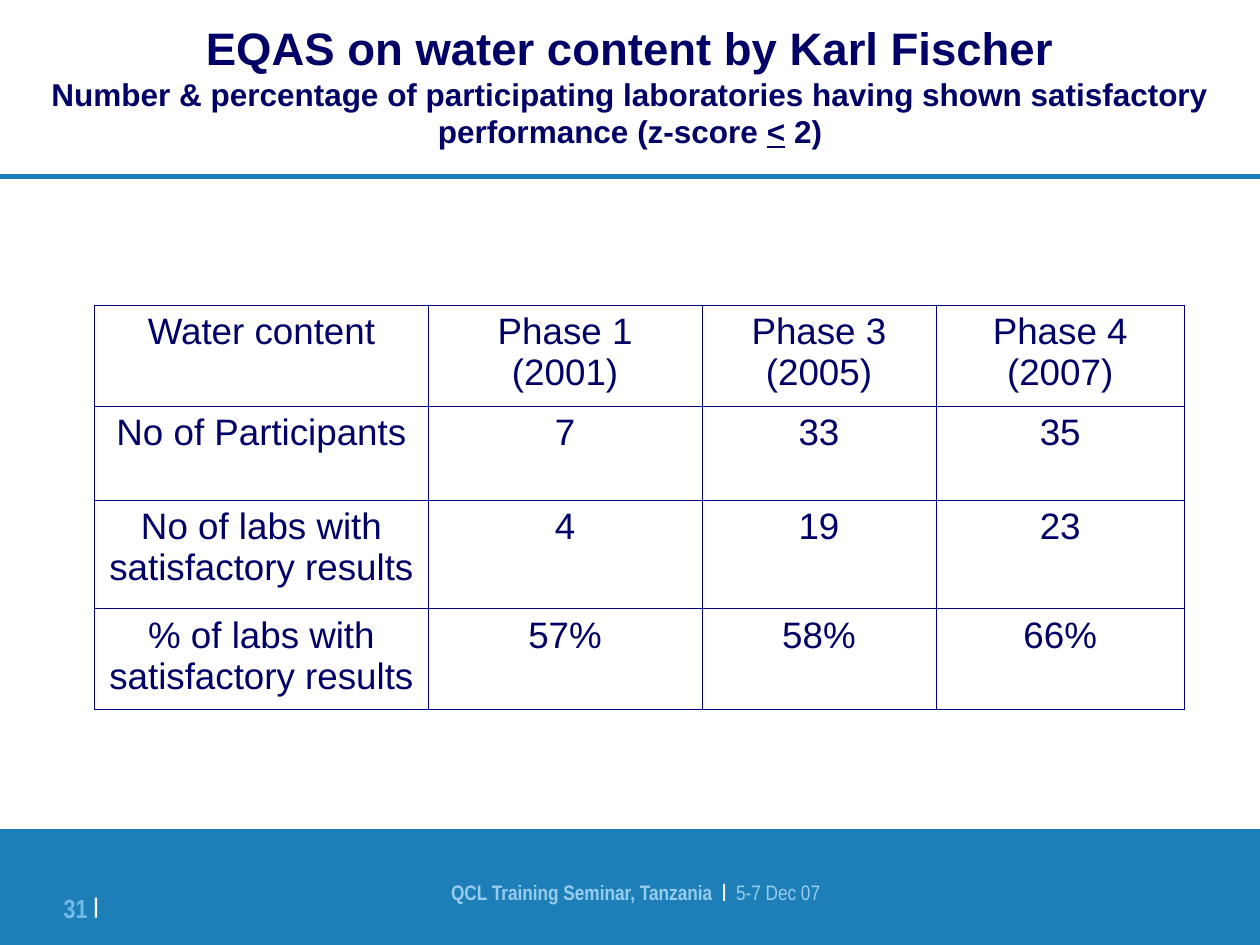
from lxml import etree
from pptx import Presentation
from pptx.dml.color import RGBColor
from pptx.enum import shapes, text
from pptx.oxml.ns import qn
from pptx.util import Inches, Pt

NAVY, BLUE, PALE = "000066", "1E7FB8", "96CCEE"


def rgb(value):
    return RGBColor.from_string(value)


def add_text(p, words, size, color, font="Arial", bold=False, underline=False,
             baseline=None, shadow=False):
    r = p.add_run()
    r.text = words
    f = r.font
    f.size, f.name, f.bold, f.underline = Pt(size), font, bold, underline
    f.color.rgb = rgb(color)
    rpr = r._r.get_or_add_rPr()
    if baseline:
        rpr.set("baseline", str(baseline * 1000))
    if shadow:
        effects = etree.Element(qn("a:effectLst"))
        outer = etree.SubElement(effects, qn("a:outerShdw"), dist="25400", dir="2700000")
        etree.SubElement(outer, qn("a:srgbClr"), val=PALE)
        rpr.find(qn("a:solidFill")).addnext(effects)


prs = Presentation()
prs.slide_width, prs.slide_height = Inches(10), Inches(7.5)
s = prs.slides.add_slide(prs.slide_layouts[5])

# Rule under the title
rule = s.shapes.add_connector(shapes.MSO_CONNECTOR.STRAIGHT,
                              Inches(0), Inches(1.4), Inches(10), Inches(1.4))
rule.line.color.rgb = rgb(BLUE)
rule.line.width = Pt(3)
etree.SubElement(rule._element.spPr, qn("a:effectLst"))

# Footer band
band = s.shapes.add_shape(shapes.MSO_SHAPE.RECTANGLE,
                          Inches(0), Inches(6.58), Inches(10), Inches(0.92))
band.shadow.inherit = False
band.fill.solid()
band.fill.fore_color.rgb = rgb(BLUE)
band.line.fill.background()

# Footer text and slide number
narrow = {"font": "Arial Narrow", "bold": True}
footers = [
    ((3.58, 6.9, 3.26, 0.35), text.PP_ALIGN.LEFT, [
        ("QCL Training Seminar, Tanzania  ", 12, PALE, {}),
        ("|", 18, "FFFFFF", {"baseline": 12}),
        ("  ", 12, PALE, {}),
        ("5-7 Dec 07", 12, PALE, {"bold": False})]),
    ((0.39, 7, 0.39, 0.36), text.PP_ALIGN.RIGHT, [
        ("31 ", 15, "72BBE8", {}),
        ("|", 21, "FFFFFF", {"baseline": 14})]),
]
for box, align, runs in footers:
    tf = s.shapes.add_textbox(*map(Inches, box)).text_frame
    tf.word_wrap = True
    tf.margin_left = tf.margin_right = tf.margin_top = tf.margin_bottom = 0
    p = tf.paragraphs[0]
    p.alignment = align
    for words, size, color, extra in runs:
        add_text(p, words, size, color, **{**narrow, **extra})

# Title
title = s.shapes.title
title.left, title.top, title.width, title.height = map(Inches, (0, 0, 10, 1.35))
tf = title.text_frame
tf.word_wrap = True
tf.auto_size = text.MSO_AUTO_SIZE.NONE
tf.vertical_anchor = text.MSO_ANCHOR.MIDDLE
tf.margin_left = tf.margin_right = tf.margin_top = tf.margin_bottom = 0
p = tf.paragraphs[0]
p.alignment = text.PP_ALIGN.CENTER
heading = {"color": NAVY, "bold": True, "shadow": True}
add_text(p, "EQAS on water content by Karl Fischer", 26, **heading)
p.add_line_break()
add_text(p, "Number & percentage of participating laboratories having shown "
            "satisfactory performance (z-score ", 18, **heading)
add_text(p, "<", 18, underline=True, **heading)
add_text(p, " 2)", 18, **heading)

# Results table
rows = [
    ("Water content", "Phase 1 (2001)", "Phase 3 (2005)", "Phase 4 (2007)"),
    ("No of Participants", "7", "33", "35"),
    ("No of labs with satisfactory results", "4", "19", "23"),
    ("% of labs with satisfactory results", "57%", "58%", "66%"),
]
widths = (2.65, 2.17, 1.86, 1.97)
heights = (0.8, 0.75, 0.86, 0.8)
table = s.shapes.add_table(len(rows), len(widths), Inches(0.75), Inches(2.42),
                           Inches(sum(widths)), Inches(sum(heights))).table
table.first_row = table.horz_banding = False
for column, width in zip(table.columns, widths):
    column.width = Inches(width)
for row, height, values in zip(table.rows, heights, rows):
    row.height = Inches(height)
    for cell, value in zip(row.cells, values):
        p = cell.text_frame.paragraphs[0]
        p.alignment = text.PP_ALIGN.CENTER
        add_text(p, value, 21, NAVY)
        tcpr = cell._tc.get_or_add_tcPr()
        for side in ("lnL", "lnR", "lnT", "lnB"):
            ln = etree.SubElement(tcpr, qn("a:" + side), w=str(Pt(0.34)))
            fill = etree.SubElement(ln, qn("a:solidFill"))
            etree.SubElement(fill, qn("a:srgbClr"), val="000080")
        cell.fill.background()

prs.save("out.pptx")
